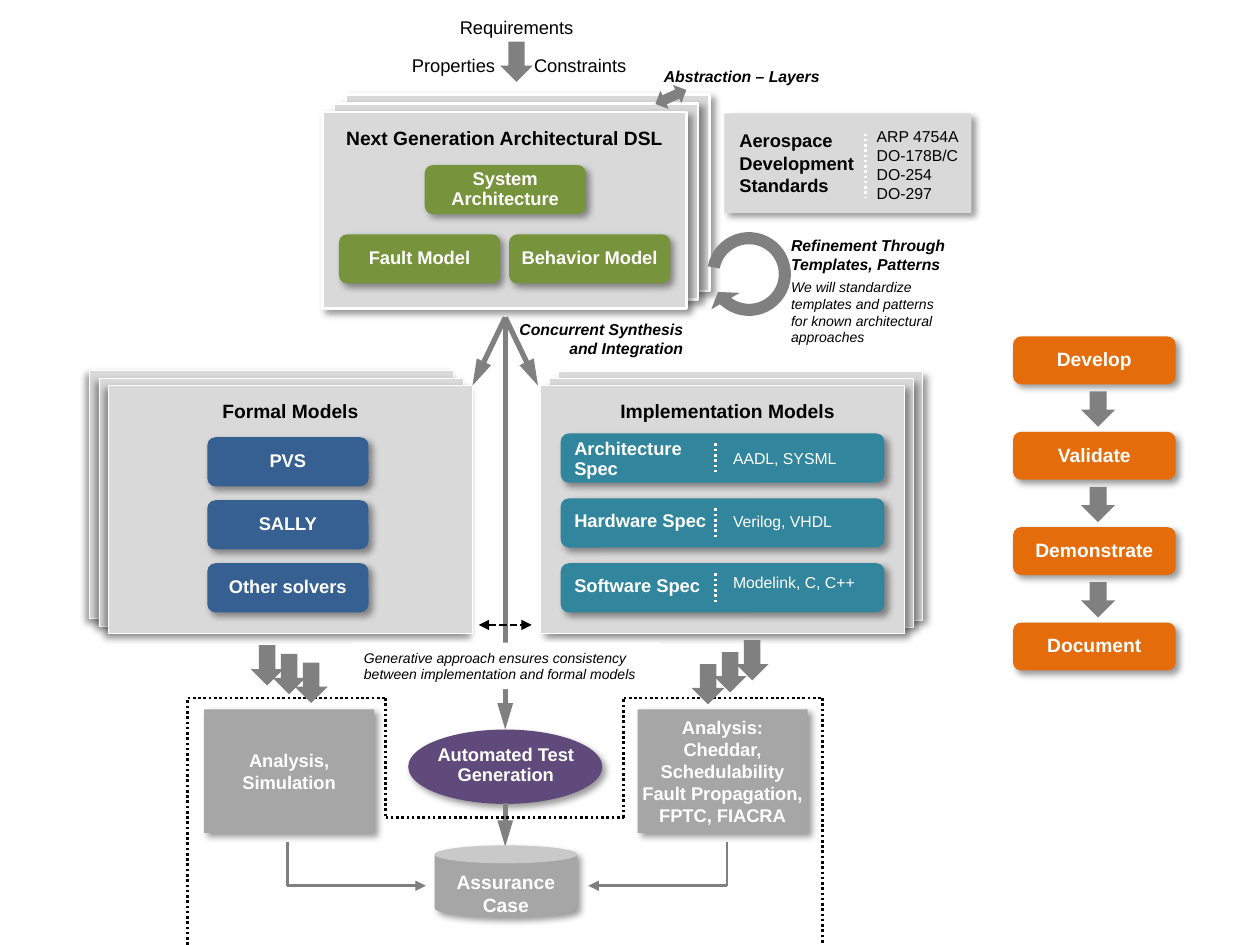
from lxml import etree
from pptx import Presentation
from pptx.dml.color import RGBColor
from pptx.enum.dml import MSO_LINE
from pptx.enum.shapes import MSO_CONNECTOR, MSO_SHAPE
from pptx.enum.text import MSO_ANCHOR, PP_ALIGN
from pptx.oxml.ns import qn
from pptx.util import Inches, Pt

COLS, ROWS = 100, 75
RECT, ROUND, DOWN = MSO_SHAPE.RECTANGLE, MSO_SHAPE.ROUNDED_RECTANGLE, MSO_SHAPE.DOWN_ARROW
ELLIPSE, CAN = MSO_SHAPE.OVAL, MSO_SHAPE.CAN
LOOP, BOTH_WAYS = MSO_SHAPE.CIRCULAR_ARROW, MSO_SHAPE.LEFT_RIGHT_ARROW
LEFT, CENTER, RIGHT = PP_ALIGN.LEFT, PP_ALIGN.CENTER, PP_ALIGN.RIGHT
TOP, MIDDLE = MSO_ANCHOR.TOP, MSO_ANCHOR.MIDDLE
DOTS, DASHES = MSO_LINE.ROUND_DOT, MSO_LINE.SQUARE_DOT
STRAIGHT = MSO_CONNECTOR.STRAIGHT
BLACK, WHITE, GREY, PANEL, ANALYSIS = "000000", "FFFFFF", "808080", "D9D9D9", "A6A6A6"
GREEN, BLUE, TEAL, ORANGE, PURPLE = "77933C", "376092", "31859C", "E46C0A", "604A7B"


def rgb(value):
    return RGBColor.from_string(value)


def grid(*lengths):
    return [Inches(n / 10) for n in lengths]


def sub(box, x, y, w, h):
    return box[0] + x, box[1] + y, w, h


def write(sp, text, size=10.5, color=BLACK, bold=False, italic=False, align=LEFT,
          anchor=TOP, wrap=True, spacing=None, inset=1):
    tf = sp.text_frame
    tf.word_wrap = wrap
    tf.vertical_anchor = anchor
    tf.margin_left = tf.margin_right = grid(inset)[0]
    for i, line in enumerate(text.split("\n")):
        p = tf.paragraphs[0] if i == 0 else tf.add_paragraph()
        p.alignment, p.line_spacing = align, spacing
        r = p.add_run()
        r.text = line
        r.font.name, r.font.size = "Arial", Pt(size)
        r.font.bold, r.font.italic = bold, italic
        r.font.color.rgb = rgb(color)
    return tf


def label(s, box, text, **fmt):
    return write(s.shapes.add_textbox(*grid(*box)), text, **fmt)


def add_shadow(sp, angle):
    effects = sp._element.spPr.find(qn("a:effectLst"))
    outer = etree.SubElement(effects, qn("a:outerShdw"), blurRad=str(Pt(4)), dist=str(Pt(3)),
                             dir=str(angle * 60000), algn="ctr", rotWithShape="0")
    color = etree.SubElement(outer, qn("a:srgbClr"), val=BLACK)
    etree.SubElement(color, qn("a:alpha"), val="40000")


def shape(s, kind, box, fill, border=0, shadow=45):
    sp = s.shapes.add_shape(kind, *grid(*box))
    sp.shadow.inherit = False
    sp.fill.solid()
    sp.fill.fore_color.rgb = rgb(fill)
    if border:
        sp.line.color.rgb, sp.line.width = rgb(WHITE), Pt(border)
    else:
        sp.line.fill.background()
    if shadow is not None:
        add_shadow(sp, shadow)
    return sp


def block(s, kind, box, fill, text, size=10.5, spacing=0.9):
    write(shape(s, kind, box, fill), text, size=size, color=WHITE, bold=True, align=CENTER,
          anchor=MIDDLE, spacing=spacing, inset=0)


def down_arrow(s, box):
    shape(s, DOWN, box, GREY, shadow=None)


def connect(s, x1, y1, x2, y2, color=GREY, width=1.5, dash=None, ends=()):
    cn = s.shapes.add_connector(STRAIGHT, *grid(x1, y1, x2, y2))
    cn.line.color.rgb, cn.line.width = rgb(color), Pt(width)
    if dash:
        cn.line.dash_style = dash
    for end in ends:
        etree.SubElement(cn.line._get_or_add_ln(), qn(f"a:{end}"), type="triangle",
                         w="med", len="lg" if width > 2 else "med")
    etree.SubElement(cn._element.spPr, qn("a:effectLst"))


def stack(s, box, step_x, step_y, border, shadow=45):
    for i in (2, 1, 0):
        shape(s, RECT, sub(box, i * step_x, -i * step_y, *box[2:]), PANEL, border, shadow)


def heading(s, box, text, shift=0):
    label(s, sub(box, shift, 0.6, box[2], 2.9), text, size=11, bold=True, align=CENTER, wrap=False)


def inputs(s, box):
    for x, y, w, text in ((3.8, 0, 11.2, "Requirements"), (9.7, 3, 9.5, "Constraints"),
                          (0, 3, 8.8, "Properties")):
        label(s, sub(box, x, y, w, 2.8), text, align=CENTER, wrap=False)
    down_arrow(s, sub(box, 8.1, 2.5, 2.6, 3.2))


def language_panel(s, box):
    stack(s, box, 0.9, 0.7, 1.5)
    heading(s, box, "Next Generation Architectural DSL")
    for x, y, text in ((8.1, 4.2, "System Architecture"), (1.3, 9.7, "Fault Model"),
                       (14.8, 9.7, "Behavior Model")):
        block(s, ROUND, sub(box, x, y, 12.8, 3.9), GREEN, text)


def standards(s, box):
    shape(s, RECT, box, PANEL)
    label(s, sub(box, 0.2, 0.8, 12.3, 6.3), "Aerospace Development Standards", bold=True)
    label(s, sub(box, 11.1, 0.6, 8.6, 7.1), "ARP 4754A\nDO-178B/C\nDO-254\nDO-297", size=9, wrap=False)
    x, y = box[0] + 11.2, box[1]
    connect(s, x, y + 1.6, x, y + 6.7, WHITE, dash=DOTS)


def refinement(s, box):
    sp = shape(s, LOOP, sub(box, 0, 0, 8.3, 8.3), GREY, shadow=None)
    for i, value in enumerate((0.116, 11.423, 72.144, 108, 0.157)):
        sp.adjustments[i] = value
    sp.rotation = 10.7
    tf = label(s, sub(box, 6.5, 0.6, 14.5, 9.9), "Refinement Through Templates, Patterns\n"
               "We will standardize templates and patterns for known architectural approaches",
               size=9, bold=True, italic=True)
    p = tf.paragraphs[1]
    p.space_before = Pt(3)
    p.runs[0].font.size, p.runs[0].font.bold = Pt(8), False


def abstraction(s, box):
    label(s, sub(box, 0, 0, 14.5, 3), "Abstraction – Layers", size=9, bold=True, italic=True, wrap=False)
    shape(s, BOTH_WAYS, sub(box, 0.2, 2.1, 2.7, 1.6), GREY, shadow=None).rotation = 335.6


def formal_models(s, box):
    stack(s, box, -0.75, 0.6, 0.25, 135)
    heading(s, box, "Formal Models")
    for i, text in enumerate(("PVS", "SALLY", "Other solvers")):
        block(s, ROUND, sub(box, 7.85, 4.1 + 5 * i, 12.8, 3.9), BLUE, text)


def implementation_models(s, box):
    stack(s, box, 0.7, 0.55, 0.25)
    heading(s, box, "Implementation Models", 0.4)
    rows = (("Architecture Spec", "AADL, SYSML", 0, 0.7), ("Hardware Spec", "Verilog, VHDL", 0.6, 0.6),
            ("Software Spec", "Modelink, C, C++", 0.6, 0.3))
    for i, (name, tools, name_drop, tools_drop) in enumerate(rows):
        row = sub(box, 1.6, 3.8 + 5.15 * i, 25.7, 3.9)
        shape(s, ROUND, row, TEAL)
        label(s, sub(row, 0.1, name_drop, 13, 4.2), name, color=WHITE, bold=True, spacing=0.9)
        x, y = row[0] + 12.3, row[1]
        connect(s, x, y + 0.8, x, y + 3.1, WHITE, dash=DOTS)
        label(s, sub(row, 12.7, tools_drop, 13, 2.5), tools, size=9, color=WHITE)


def synthesis(s, box):
    x, y, w, h = box
    for x2, y2 in ((x + w / 2, y + h), (x, y + 5.4), (x + w, y + 5.4)):
        connect(s, x + w / 2, y, x2, y2, width=3, ends=["tailEnd"])
    label(s, sub(box, 1.3, -0.3, 16.4, 4), "Concurrent Synthesis and Integration",
          size=9, bold=True, italic=True, align=RIGHT)
    note = shape(s, RECT, sub(box, -9.6, 25.8, 24.5, 3.7), WHITE, shadow=None)
    write(note, "Generative approach ensures consistency between implementation and formal models",
          size=8, italic=True, anchor=MIDDLE)
    connect(s, x + 0.5, y + 24.4, x + 4.7, y + 24.4, BLACK, dash=DASHES, ends=["headEnd", "tailEnd"])


def arrow_trio(s, box, rise):
    x, y, w, h = box
    for i in range(3):
        down_arrow(s, (x + 1.75 * i, y + rise * i, w, h))


def assurance(s, box):
    x, y, w, h = box
    middle, bottom, inner_left, inner_right = x + 25.2, y + 9.5, x + 15.7, x + 34.6
    block(s, RECT, sub(box, 1.3, 0.9, 13.5, 9.8), ANALYSIS, "Analysis,\nSimulation", spacing=1)
    block(s, RECT, sub(box, 35.7, 0.9, 13.5, 9.8), ANALYSIS,
          "Analysis:\nCheddar, Schedulability\nFault Propagation, FPTC, FIACRA", spacing=1)
    shape(s, ELLIPSE, sub(box, 17.5, 2.5, 15.4, 5.9), PURPLE)
    label(s, sub(box, 17.4, 3.3, 15.7, 4.2), "Automated Test Generation", color=WHITE,
          bold=True, align=CENTER, spacing=0.9)
    connect(s, middle, y + 8.3, middle, y + 11.8, width=3, ends=["tailEnd"])
    shape(s, CAN, sub(box, 19.6, 11.7, 11.3, 5.7), ANALYSIS)
    label(s, sub(box, 20.3, 13.2, 9.9, 4.7), "Assurance\nCase", size=11, color=WHITE,
          bold=True, align=CENTER, wrap=False)
    outline = ((x, y + h), (x, y), (inner_left, y), (inner_left, bottom),
               (inner_right, bottom), (inner_right, y), (x + w, y), (x + w, y + h))
    for start, end in zip(outline, outline[1:]):
        connect(s, *start, *end, BLACK, dash=DOTS)
    for side, target in ((x + 7.9, x + 18.9), (x + 42.8, x + 31.8)):
        connect(s, side, y + 11.4, side, y + 14.9)
        connect(s, side, y + 14.9, target, y + 14.9, ends=["tailEnd"])


def process(s, box, steps):
    pitch = 7.57
    for i, text in enumerate(steps):
        block(s, ROUND, sub(box, 0, i * pitch, box[2], 3.8), ORANGE, text, 11)
        if i:
            down_arrow(s, sub(box, 5.4, i * pitch - 3.2, 2.7, 2.8))


def main():
    prs = Presentation()
    prs.slide_width, prs.slide_height = grid(COLS, ROWS)
    s = prs.slides.add_slide(prs.slide_layouts[6])
    language_panel(s, (25.6, 8.9, 28.9, 15.6))
    formal_models(s, (8.6, 30.6, 28.9, 19.7))
    implementation_models(s, (42.9, 30.6, 28.9, 19.7))
    process(s, (80.4, 26.7, 12.9, 26.5), ("Develop", "Validate", "Demonstrate", "Document"))
    inputs(s, (31.6, 0.8, 19.2, 5.8))
    standards(s, (57.5, 9, 19.6, 7.9))
    synthesis(s, (37.5, 25.2, 5.2, 32.7))
    assurance(s, (14.9, 55.4, 50.4, 19.6))
    refinement(s, (55.3, 17.6, 21, 10.5))
    abstraction(s, (51.7, 4.8, 14.5, 3.7))
    arrow_trio(s, (19.9, 51.2, 2.6, 3.2), 0.7)
    arrow_trio(s, (54.9, 52.7, 2.6, 3.2), -0.95)
    prs.save("out.pptx")


if __name__ == "__main__":
    main()
